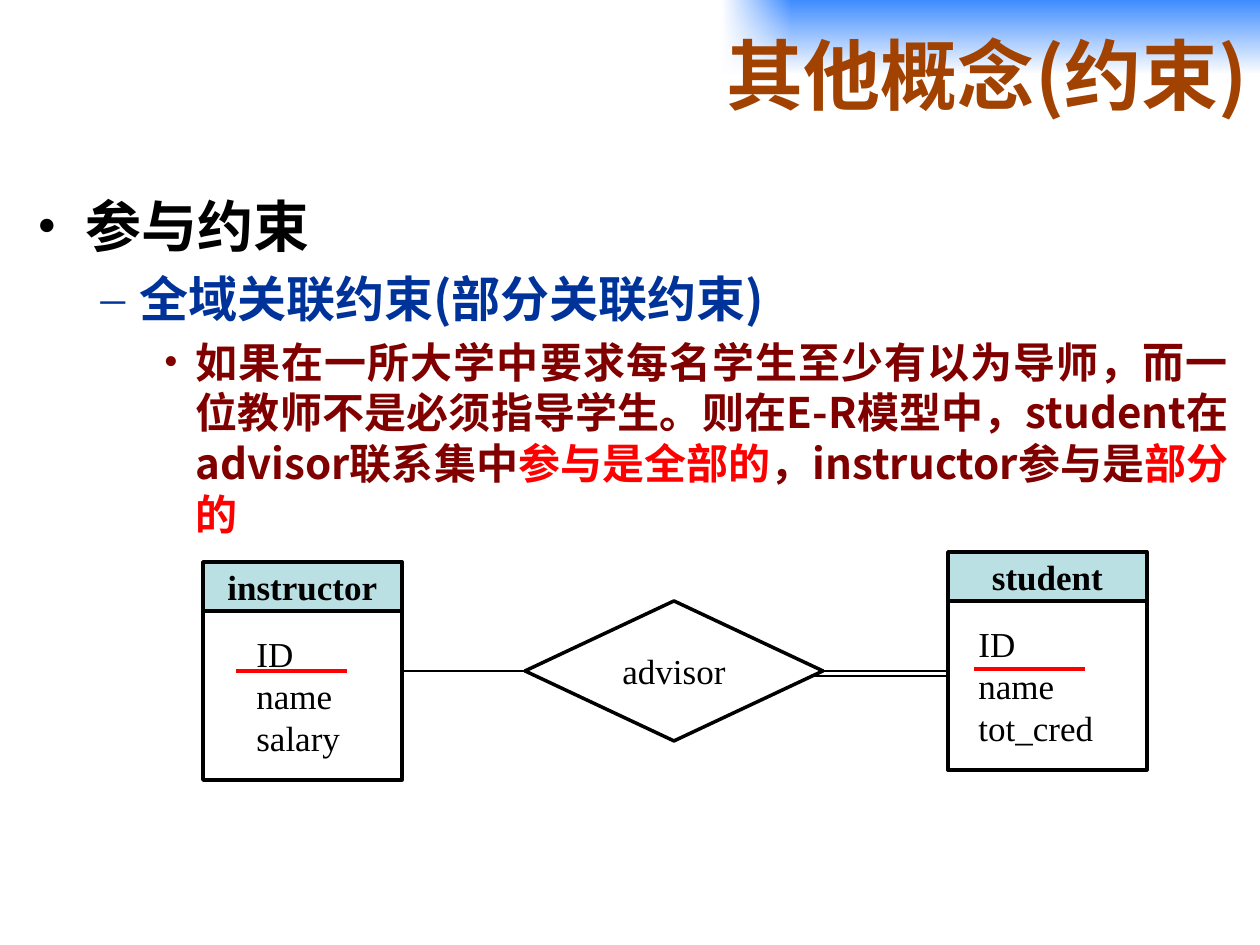
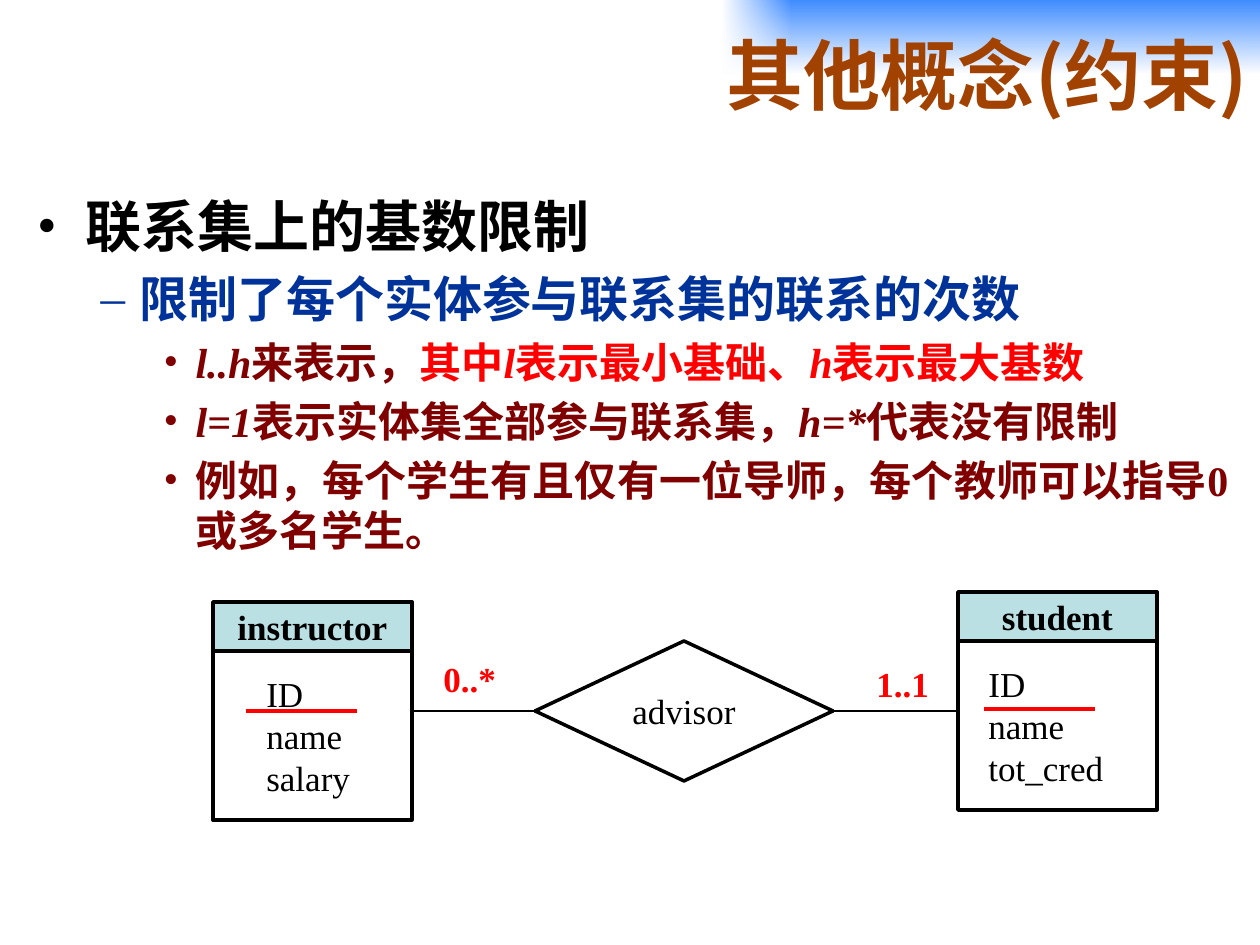
from dataclasses import dataclass
from typing import Any, NamedTuple, Optional

import lxml.etree
import pptx
import pptx.dml.color
import pptx.enum.shapes
import pptx.enum.text
import pptx.oxml
import pptx.oxml.ns
import pptx.util

PIXELS_PER_INCH = 126
TITLE_FONT = "Noto Sans CJK SC"
BODY_FONT = "Noto Sans CJK JP"
DIAGRAM_FONT = "Times New Roman"
BLACK, WHITE, RED = "000000", "FFFFFF", "FF0000"
BROWN, NAVY, MAROON = "A24200", "003399", "800000"
HEADER_FILL, BAND_BLUE = "BBE0E3", "3F8CFF"
TITLE = "其他概念(约束)"
LINE_PITCH = 1.206

SHAPES = pptx.enum.shapes.MSO_SHAPE
ALIGN = pptx.enum.text.PP_ALIGN
ANCHOR = pptx.enum.text.MSO_ANCHOR


class Run(NamedTuple):
    text: str
    color: Optional[str] = None
    italic: bool = False


class Item(NamedTuple):
    level: int
    runs: list[Run]
    font: str = BODY_FONT


class Box(NamedTuple):
    left: int
    top: int
    width: int
    height: int


@dataclass
class Level:
    size: int
    color: str
    bullet: str
    margin: int
    hanging: int
    align: Any


@dataclass
class Entity:
    name: str
    attributes: list[str]
    left: int
    top: int
    text_box: Box         # offset from the entity corner
    underline: tuple[int, int]


@dataclass
class Label:
    text: str
    box: Box


LEVELS = [
    Level(32, BLACK, "•", 48, 48, ALIGN.LEFT),
    Level(28, NAVY, "–", 102, 39, ALIGN.JUSTIFY),
    Level(24, MAROON, "•", 158, 32, ALIGN.JUSTIFY),
]
INSTRUCTOR = Entity("instructor", ["ID", "name", "salary"], 203, 562,
                    Box(41, 64, 124, 140), (33, 109))
STUDENT = Entity("student", ["ID", "name", "tot_cred"], 948, 552,
                 Box(18, 64, 156, 140), (26, 117))
ENTITY_WIDTH, HEADER_HEIGHT, BODY_HEIGHT, UNDERLINE_WIDTH = 199, 49, 169, 111
DIAMOND = Box(525, 601, 298, 140)


# Units, colours and text
def emu(pixels: int) -> int:
    return round(pixels * 914400 / PIXELS_PER_INCH)


def rgb(color: str) -> pptx.dml.color.RGBColor:
    return pptx.dml.color.RGBColor.from_string(color)


def place(shape: Any, box: Box) -> None:
    shape.left, shape.top, shape.width, shape.height = map(emu, box)


def write(paragraph: Any, text: str, *, size: int = 20, color: str = BLACK,
          font: str = DIAGRAM_FONT, east_asian: Optional[str] = None,
          bold: bool = False, italic: bool = False) -> None:
    run = paragraph.add_run()
    run.text = text
    run.font.size = pptx.util.Pt(size)
    run.font.color.rgb = rgb(color)
    run.font.name = font
    run.font.bold, run.font.italic = bold, italic
    if east_asian:
        properties = run.font._element
        properties.set("lang", "zh-CN")
        latin = properties.find(pptx.oxml.ns.qn("a:latin"))
        face = latin.makeelement(pptx.oxml.ns.qn("a:ea"), {"typeface": east_asian})
        latin.addnext(face)


def set_bullet(paragraph: Any, level: Level) -> None:
    properties = paragraph._p.get_or_add_pPr()
    properties.set("marL", str(emu(level.margin)))
    properties.set("indent", str(-emu(level.hanging)))
    for tag, name, value in (("a:buFont", "typeface", DIAGRAM_FONT),
                             ("a:buChar", "char", level.bullet)):
        lxml.etree.SubElement(properties, pptx.oxml.ns.qn(tag)).set(name, value)


# Shapes
def add_box(slide: Any, kind: Any, box: Box, fill: str, text: str = "",
            bold: bool = False) -> Any:
    shape = slide.shapes.add_shape(kind, *map(emu, box))
    shape.shadow.inherit = False
    shape.fill.solid()
    shape.fill.fore_color.rgb = rgb(fill)
    shape.line.color.rgb = rgb(BLACK)
    shape.line.width = pptx.util.Pt(2)
    if text:
        frame = shape.text_frame
        frame.margin_left = frame.margin_right = 0
        frame.vertical_anchor = ANCHOR.MIDDLE
        frame.paragraphs[0].alignment = ALIGN.CENTER
        write(frame.paragraphs[0], text, bold=bold)
    return shape


def add_text_box(slide: Any, box: Box, lines: list[str], **style: Any) -> None:
    frame = slide.shapes.add_textbox(*map(emu, box)).text_frame
    frame.word_wrap = True
    for index, line in enumerate(lines):
        paragraph = frame.add_paragraph() if index else frame.paragraphs[0]
        write(paragraph, line, **style)


def add_line(slide: Any, start: tuple[int, int], end: tuple[int, int],
             color: str = BLACK, width: float = 0.75) -> Any:
    connector = slide.shapes.add_connector(
        pptx.enum.shapes.MSO_CONNECTOR.STRAIGHT, *map(emu, start + end))
    connector.line.color.rgb = rgb(color)
    connector.line.width = pptx.util.Pt(width)
    lxml.etree.SubElement(connector._element.spPr, pptx.oxml.ns.qn("a:effectLst"))
    return connector


# Shared corner band, kept on the layout
def add_band(slide: Any, layout: Any) -> None:
    parts = [
        (Box(722, 0, 538, 75), 90, BAND_BLUE, WHITE, False),
        (Box(722, 0, 68, 75), 0, WHITE, WHITE, True),
    ]
    for index, (box, angle, first, last, fades) in enumerate(parts):
        shape = slide.shapes.add_shape(SHAPES.RECTANGLE, *map(emu, box))
        shape.shadow.inherit = False
        shape.line.fill.background()
        shape.fill.gradient()
        shape.fill.gradient_angle = -angle % 360
        stops = shape.fill.gradient_stops
        for stop, color, position in zip(stops, (first, last), (0, 1)):
            stop.color.rgb = rgb(color)
            stop.position = position
        if fades:
            colors = list(shape._element.iter(pptx.oxml.ns.qn("a:srgbClr")))
            alpha = lxml.etree.SubElement(colors[1], pptx.oxml.ns.qn("a:alpha"))
            alpha.set("val", "0")
        layout.shapes.element.insert(2 + index, shape._element)


# Title and list
def fill_placeholders(slide: Any, items: list[Item]) -> None:
    title, body = slide.shapes.title, slide.placeholders[1]
    place(title, Box(184, 0, 1076, 147))
    place(body, Box(25, 185, 1216, 624))
    for shape in (title, body):
        shape.text_frame.auto_size = pptx.enum.text.MSO_AUTO_SIZE.NONE
        shape.text_frame.word_wrap = True
    title.text_frame.vertical_anchor = ANCHOR.MIDDLE
    heading = title.text_frame.paragraphs[0]
    heading.alignment = ALIGN.RIGHT
    write(heading, TITLE, size=44, color=BROWN, font=TITLE_FONT,
          east_asian=TITLE_FONT, bold=True)

    frame = body.text_frame
    for index, item in enumerate(items):
        level = LEVELS[item.level]
        paragraph = frame.add_paragraph() if index else frame.paragraphs[0]
        paragraph.level = item.level
        paragraph.alignment = level.align
        paragraph.line_spacing = pptx.util.Pt(round(level.size * LINE_PITCH, 1))
        paragraph.space_before = pptx.util.Pt(level.size * 0.2 if index else 0)
        set_bullet(paragraph, level)
        for run in item.runs:
            write(paragraph, run.text, size=level.size, font=item.font,
                  color=run.color or level.color, east_asian=BODY_FONT,
                  bold=True, italic=run.italic)


# Entity-relationship diagram
def add_entity(slide: Any, entity: Entity, dx: int, dy: int) -> None:
    left, top = entity.left + dx, entity.top + dy
    add_box(slide, SHAPES.RECTANGLE, Box(left, top, ENTITY_WIDTH, HEADER_HEIGHT),
            HEADER_FILL, entity.name, bold=True)
    add_box(slide, SHAPES.RECTANGLE,
            Box(left, top + HEADER_HEIGHT, ENTITY_WIDTH, BODY_HEIGHT), WHITE)
    inner = entity.text_box
    add_text_box(slide, Box(left + inner.left, top + inner.top,
                            inner.width, inner.height), entity.attributes)
    x, y = left + entity.underline[0], top + entity.underline[1]
    add_line(slide, (x, y), (x + UNDERLINE_WIDTH, y), RED, 2.25)


def add_diagram(slide: Any, dx: int, dy: int, total: bool = False) -> None:
    for entity in (INSTRUCTOR, STUDENT):
        add_entity(slide, entity, dx, dy)
    box = Box(DIAMOND.left + dx, DIAMOND.top + dy, DIAMOND.width, DIAMOND.height)
    diamond = add_box(slide, SHAPES.FLOWCHART_DECISION, box, WHITE, "advisor")
    middle = box.top + box.height // 2
    instructor_side = INSTRUCTOR.left + ENTITY_WIDTH + dx
    student_side = STUDENT.left + dx
    add_line(slide, (instructor_side, middle),
             (box.left, middle)).end_connect(diamond, 1)
    add_line(slide, (box.left + box.width, middle),
             (student_side, middle)).begin_connect(diamond, 3)
    if total:  # second stroke of the total participation line
        add_line(slide, (box.left + box.width - 9, middle + 5),
                 (student_side, middle + 5))


PARTICIPATION = [
    Item(0, [Run("参与约束")]),
    Item(1, [Run("全域关联约束(部分关联约束)")]),
    Item(2, [
        Run("如果在一所大学中要求每名学生至少有以为导师，而一位教师不是必须指导学生。"
            "则在E-R模型中，student在advisor联系集中"),
        Run("参与是全部的", RED),
        Run("，instructor参与是"),
        Run("部分的", RED),
    ]),
]
CARDINALITY = [
    Item(0, [Run("联系集上的基数限制")]),
    Item(1, [Run("限制了每个实体参与联系集的联系的次数")]),
    Item(2, [Run("l..h", italic=True), Run("来表示，"), Run("其中", RED),
             Run("l", RED, True), Run("表示最小基础、", RED),
             Run("h", RED, True), Run("表示最大基数", RED)], DIAGRAM_FONT),
    Item(2, [Run("l=1", italic=True), Run("表示实体集全部参与联系集，"),
             Run("h=*", italic=True), Run("代表没有限制")], DIAGRAM_FONT),
    Item(2, [Run("例如，每个学生有且仅有一位导师，每个教师可以指导0或多名学生。")],
         DIAGRAM_FONT),
]
CARDINALITY_LABELS = [
    Label("1..1", Box(864, 656, 90, 55)),
    Label("0..*", Box(431, 651, 90, 55)),
]


def main() -> None:
    presentation = pptx.Presentation()
    presentation.slide_width, presentation.slide_height = emu(1260), emu(945)
    layout = presentation.slide_layouts[1]

    # Participation constraint
    slide = presentation.slides.add_slide(layout)
    add_band(slide, layout)
    fill_placeholders(slide, PARTICIPATION)
    add_diagram(slide, 0, 0, total=True)

    # Cardinality limits
    slide = presentation.slides.add_slide(layout)
    fill_placeholders(slide, CARDINALITY)
    add_diagram(slide, 10, 40)
    for label in CARDINALITY_LABELS:
        add_text_box(slide, label.box, [label.text], color=RED, bold=True)

    presentation.save("out.pptx")


if __name__ == "__main__":
    main()
